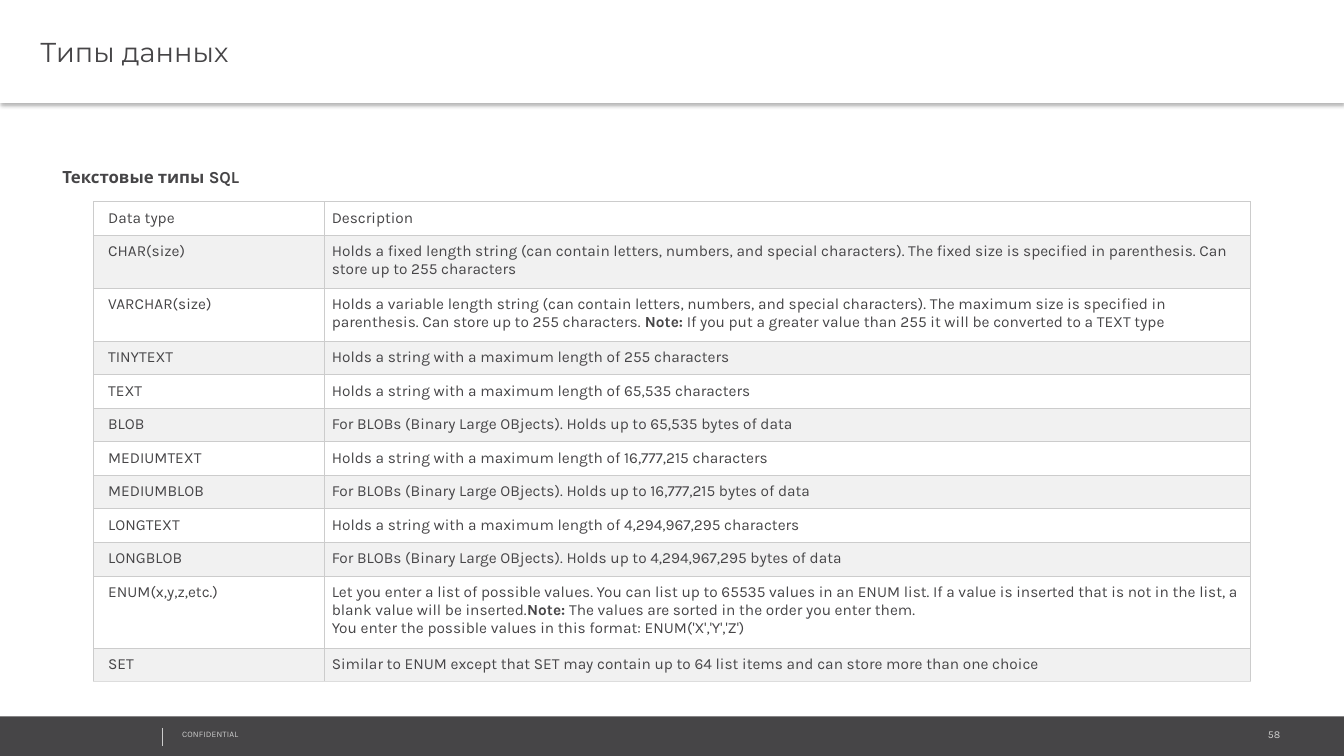
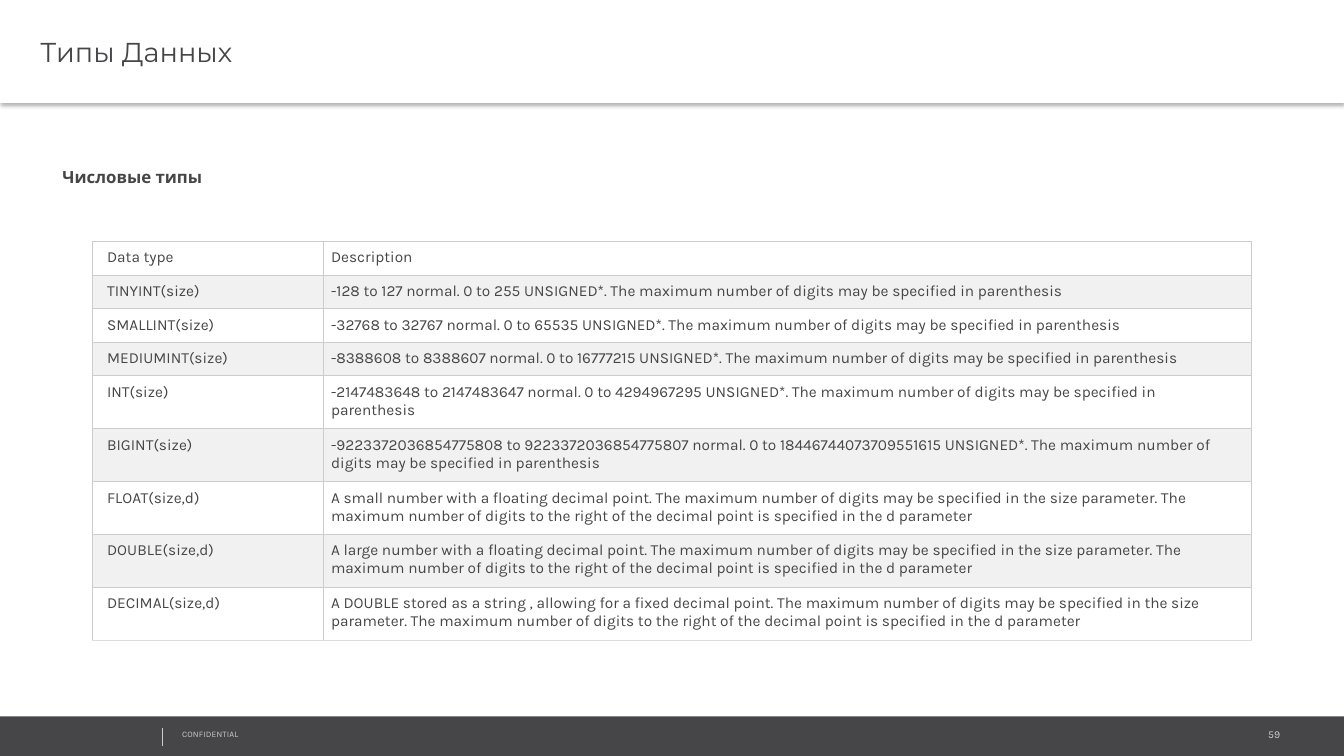
"""Build two slides that list text and numeric database column types."""
from lxml.etree import SubElement
from pptx import Presentation
from pptx.dml.color import RGBColor
from pptx.enum.shapes import MSO_CONNECTOR as CONN, MSO_SHAPE as SHAPE
from pptx.enum.text import MSO_ANCHOR as ANCHOR, PP_ALIGN as ALIGN
from pptx.oxml.ns import qn
from pptx.util import Pt

DARK, WHITE, STRIPE = "464547", "FFFFFF", "F1F1F1"
GREY, PALE = "CCCCCC", "DDDDDD"
BODY_FONT, TITLE_FONT = "Karla", "Montserrat"
WIDTH, HEIGHT = 960, 540

DIGITS = "The maximum number of digits may be specified in"
RIGHT = "The maximum number of digits to the right of the decimal point is specified in the d parameter"
CHARS = "(can contain letters, numbers, and special characters)"
STRING = "Holds a string with a maximum length of"
BLOBS = "For BLOBs (Binary Large OBjects). Holds up to"

SLIDES = [
    {
        "number": "58", "title": "Типы данных", "heading": "Текстовые типы SQL",
        "left": 66.75, "top": 144, "columns": (165, 661.75),
        "rows": [
            ("Data type", "Description", 1),
            ("CHAR(size)", f"Holds a fixed length string {CHARS}. The fixed size is specified in "
             "parenthesis. Can store up to 255 characters", 2),
            ("VARCHAR(size)", f"Holds a variable length string {CHARS}. The maximum size is specified in "
             "parenthesis. Can store up to 255 characters. **Note:** If you put a greater value than 255 "
             "it will be converted to a TEXT type", 2),
            ("TINYTEXT", f"{STRING} 255 characters", 1),
            ("TEXT", f"{STRING} 65,535 characters", 1),
            ("BLOB", f"{BLOBS} 65,535 bytes of data", 1),
            ("MEDIUMTEXT", f"{STRING} 16,777,215 characters", 1),
            ("MEDIUMBLOB", f"{BLOBS} 16,777,215 bytes of data", 1),
            ("LONGTEXT", f"{STRING} 4,294,967,295 characters", 1),
            ("LONGBLOB", f"{BLOBS} 4,294,967,295 bytes of data", 1),
            ("ENUM(x,y,z,etc.)", "Let you enter a list of possible values. You can list up to 65535 values "
             "in an ENUM list. If a value is inserted that is not in the list, a blank value will be "
             "inserted.**Note:** The values are sorted in the order you enter them.\n"
             "You enter the possible values in this format: ENUM('X','Y','Z')", 3),
            ("SET", "Similar to ENUM except that SET may contain up to 64 list items and can store "
             "more than one choice", 1),
        ],
    },
    {
        "number": "59", "title": "Типы Данных", "heading": "Числовые типы",
        "left": 66, "top": 172.5, "columns": (165.25, 662.5),
        "rows": [
            ("Data type", "Description", 1),
            ("TINYINT(size)", f"-128 to 127 normal. 0 to 255 UNSIGNED*. {DIGITS} parenthesis", 1),
            ("SMALLINT(size)", f"-32768 to 32767 normal. 0 to 65535 UNSIGNED*. {DIGITS} parenthesis", 1),
            ("MEDIUMINT(size)", f"-8388608 to 8388607 normal. 0 to 16777215 UNSIGNED*. {DIGITS} parenthesis", 1),
            ("INT(size)", "-2147483648 to 2147483647 normal. 0 to 4294967295 UNSIGNED*. "
             f"{DIGITS} parenthesis", 2),
            ("BIGINT(size)", "-9223372036854775808 to 9223372036854775807 normal. "
             f"0 to 18446744073709551615 UNSIGNED*. {DIGITS} parenthesis", 2),
            ("FLOAT(size,d)", "A small number with a floating decimal point. "
             f"{DIGITS} the size parameter. {RIGHT}", 2),
            ("DOUBLE(size,d)", "A large number with a floating decimal point. "
             f"{DIGITS} the size parameter. {RIGHT}", 2),
            ("DECIMAL(size,d)", "A DOUBLE stored as a string , allowing for a fixed decimal point. "
             f"{DIGITS} the size parameter. {RIGHT}", 2),
        ],
    },
]


def rgb(value):
    return RGBColor.from_string(value)


def add_run(p, text, size, color=DARK, font=BODY_FONT, bold=False):
    r = p.add_run()
    r.text = text
    r.font.size, r.font.name, r.font.bold = Pt(size), font, bold
    r.font.color.rgb = rgb(color)
    return r


prs = Presentation()
prs.slide_width, prs.slide_height = Pt(WIDTH), Pt(HEIGHT)

for data in SLIDES:
    s = prs.slides.add_slide(prs.slide_layouts[6])

    bands = []
    for top, height, color in ((511.7, 28.3, DARK), (0, 73.5, WHITE)):
        sp = s.shapes.add_shape(SHAPE.RECTANGLE, 0, Pt(top), Pt(WIDTH), Pt(height))
        sp.shadow.inherit = False
        sp.fill.solid()
        sp.fill.fore_color.rgb = rgb(color)
        sp.line.fill.background()
        bands.append(sp)

    title = bands[1]
    effects = title.element.spPr.find(qn("a:effectLst"))
    shadow = SubElement(effects, qn("a:outerShdw"), blurRad=str(Pt(3.1)), dist=str(Pt(2)),
                        dir="5400000", algn="t", rotWithShape="0")
    black = SubElement(shadow, qn("a:srgbClr"), val="000000")
    SubElement(black, qn("a:alpha"), val="30000")
    tf = title.text_frame
    tf.margin_left = Pt(28.8)
    tf.vertical_anchor = ANCHOR.MIDDLE
    p = tf.paragraphs[0]
    p.alignment = ALIGN.LEFT
    add_run(p, data["title"], 19.5, font=TITLE_FONT)

    for text, box, size, color, align in (
        (data["number"], (764.6, 516.2, 157, 16.6), 7.5, GREY, ALIGN.RIGHT),
        ("CONFIDENTIAL", (123, 517, 243.4, 14.4), 6, GREY, ALIGN.LEFT),
        (data["heading"], (37.5, 113, 885, 360), 12, DARK, ALIGN.LEFT),
    ):
        sp = s.shapes.add_textbox(*map(Pt, box))
        tf = sp.text_frame
        tf.word_wrap = True
        p = tf.paragraphs[0]
        p.alignment = align
        is_heading = text == data["heading"]
        r = add_run(p, text, size, color, bold=is_heading)
        if is_heading:
            p.line_spacing = 1.2
        if text == "CONFIDENTIAL":
            r.font._element.set("spc", "10")

    divider = s.shapes.add_connector(CONN.STRAIGHT, Pt(116), Pt(520), Pt(116), Pt(532.6))
    divider.line.color.rgb = rgb(GREY)
    divider.line.width = Pt(0.25)
    SubElement(divider.element.spPr, qn("a:effectLst"))

    rows, columns = data["rows"], data["columns"]
    heights = [10.2 + 13.8 * lines for _, _, lines in rows]
    frame = s.shapes.add_table(len(rows), len(columns), Pt(data["left"]), Pt(data["top"]),
                               Pt(sum(columns)), Pt(sum(heights)))
    table = frame.table
    table.first_row = table.horz_banding = False
    for column, width in zip(table.columns, columns):
        column.width = Pt(width)

    for i, (name, description, _) in enumerate(rows):
        table.rows[i].height = Pt(heights[i])
        for j, text in enumerate((name, description)):
            cell = table.cell(i, j)
            cell.margin_left = Pt(5.25 if j else 10.5)
            cell.margin_right = cell.margin_top = cell.margin_bottom = Pt(5.25)
            tcPr = cell._tc.get_or_add_tcPr()
            for side in ("lnL", "lnR", "lnT", "lnB"):
                is_end = side == "lnB" and i == len(rows) - 1
                ln = SubElement(tcPr, qn(f"a:{side}"), w=str(Pt(0.75)))
                fill = SubElement(ln, qn("a:solidFill"))
                SubElement(fill, qn("a:srgbClr"), val=PALE if is_end else GREY)
            cell.fill.solid()
            cell.fill.fore_color.rgb = rgb(STRIPE if i % 2 else WHITE)
            tf = cell.text_frame
            for k, line in enumerate(text.split("\n")):
                p = tf.add_paragraph() if k else tf.paragraphs[0]
                for n, part in enumerate(line.split("**")):
                    add_run(p, part, 11, bold=n % 2 == 1)

prs.save("out.pptx")
